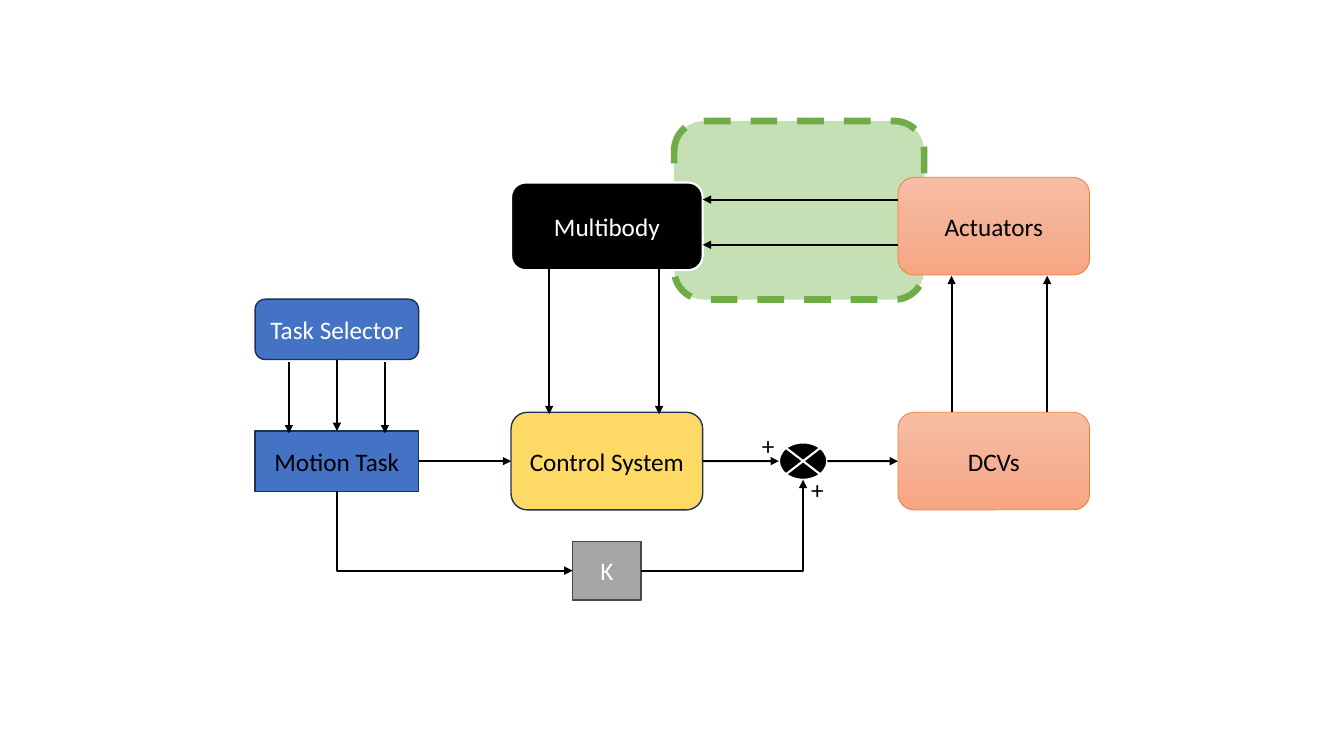
from copy import deepcopy

from lxml import etree
from pptx import Presentation
from pptx.dml.color import RGBColor
from pptx.enum.dml import MSO_LINE
from pptx.enum.shapes import MSO_CONNECTOR, MSO_SHAPE
from pptx.enum.text import MSO_ANCHOR, MSO_AUTO_SIZE, PP_ALIGN
from pptx.oxml.ns import qn
from pptx.util import Cm, Pt

RECTANGLE = MSO_SHAPE.RECTANGLE
ROUNDED = MSO_SHAPE.ROUNDED_RECTANGLE
PROCESS = MSO_SHAPE.FLOWCHART_ALTERNATE_PROCESS
JUNCTION = MSO_SHAPE.FLOWCHART_SUMMING_JUNCTION
STRAIGHT, ELBOW = MSO_CONNECTOR.STRAIGHT, MSO_CONNECTOR.ELBOW
DASH = MSO_LINE.DASH
CENTER, MIDDLE = PP_ALIGN.CENTER, MSO_ANCHOR.MIDDLE
FIT_SHAPE = MSO_AUTO_SIZE.SHAPE_TO_FIT_TEXT
TOP, LEFT, BOTTOM, RIGHT = range(4)

COLORS = {
    "black": "000000", "white": "FFFFFF",
    "blue": "4472C4", "navy": "1E3256",
    "yellow": "FFD966", "gray": "A5A5A5", "dark gray": "484848",
    "pale green": "C5E0B4", "green": "70AD47", "orange": "ED7D31",
    "peach light": "F7BDA5", "peach": "F5B196", "peach deep": "F8A582",
}
PEACH = ("peach light", "peach", "peach deep")


def color(name):
    return RGBColor.from_string(COLORS[name])


class Diagram:
    font, size, arrow_width = "Calibri", Pt(18), Pt(1.5)

    def __init__(self, slide):
        self.shapes = slide.shapes

    def add_text(self, box, text, ink, align=None):
        para = box.text_frame.paragraphs[0]
        para.alignment = align
        span = para.add_run()
        span.text = text
        span.font.name, span.font.size = self.font, self.size
        span.font.color.rgb = color(ink)

    def block(self, kind, place, fill, line, width=1, text=None, ink="black"):
        """Add a filled shape; a tuple of colours makes a vertical gradient."""
        box = self.shapes.add_shape(kind, *map(Cm, place))
        box.shadow.inherit = False
        if isinstance(fill, tuple):
            self.shade(box, fill)
        else:
            box.fill.solid()
            box.fill.fore_color.rgb = color(fill)
        box.line.color.rgb = color(line)
        box.line.width = Pt(width)
        if text:
            box.text_frame.vertical_anchor = MIDDLE
            self.add_text(box, text, ink, CENTER)
        return box

    def shade(self, box, names):
        box.fill.gradient()
        box.fill.gradient_angle = 270
        stop_list = box._element.spPr.find(".//" + qn("a:gsLst"))
        stop_list.insert(1, deepcopy(stop_list[0]))
        for index, (stop, name) in enumerate(zip(box.fill.gradient_stops, names)):
            stop.position = index / 2
            stop.color.rgb = color(name)

    def label(self, place, text):
        box = self.shapes.add_textbox(*map(Cm, place))
        box.text_frame.word_wrap = True
        box.text_frame.auto_size = FIT_SHAPE
        self.add_text(box, text, "black")

    def arrow(self, begin, end, kind=STRAIGHT):
        """Draw an arrow between points in cm or (box, side) pairs."""
        points = [self.locate(spot) for spot in (begin, end)]
        link = self.shapes.add_connector(kind, *points[0], *points[1])
        link.line.color.rgb = color("black")
        link.line.width = self.arrow_width
        properties = link._element.spPr
        etree.SubElement(properties.find(qn("a:ln")), qn("a:tailEnd"), type="triangle")
        etree.SubElement(properties, qn("a:effectLst"))
        if kind == STRAIGHT:
            joins = (link.begin_connect, link.end_connect)
            for spot, join in zip((begin, end), joins):
                if not isinstance(spot[0], (int, float)):
                    join(*spot)
        return link

    def locate(self, spot):
        """Return the slide position of a point or of the middle of a side."""
        if isinstance(spot[0], (int, float)):
            return tuple(map(Cm, spot))
        box, side = spot
        across = {LEFT: 0, RIGHT: 2}.get(side, 1)
        down = {TOP: 0, BOTTOM: 2}.get(side, 1)
        return box.left + box.width * across // 2, box.top + box.height * down // 2

    def corner(self, begin, end, down_first=False):
        """Draw an arrow with one bend, optionally going down and then right."""
        link = self.arrow(begin, end, ELBOW)
        properties = link._element.spPr
        properties.find(qn("a:prstGeom")).set("prst", "bentConnector2")
        if down_first:
            shift = (link.width - link.height) // 2
            link.left, link.top = link.left + shift, link.top - shift
            link.width, link.height = link.height, link.width
            frame = properties.find(qn("a:xfrm"))
            frame.set("rot", "16200000")
            frame.set("flipH", "1")


def main():
    deck = Presentation()
    deck.slide_width, deck.slide_height = Cm(33.87), Cm(19.05)
    page = deck.slides.add_slide(deck.slide_layouts[6])
    diagram = Diagram(page)
    block, arrow = diagram.block, diagram.arrow

    zone = block(PROCESS, (16.99, 3.05, 6.3, 4.5), "pale green", "green", 4.75)
    zone.line.dash_style = DASH

    motion = block(RECTANGLE, (6.43, 10.86, 4.12, 1.52), "blue", "navy",
                   text="Motion Task")
    control = block(ROUNDED, (12.88, 10.39, 4.83, 2.46), "yellow", "navy",
                    text="Control System")
    valves = block(ROUNDED, (22.63, 10.39, 4.83, 2.46), PEACH, "orange", 0.5, "DCVs")
    gain = block(RECTANGLE, (14.43, 13.64, 1.73, 1.48), "gray", "dark gray",
                 text="K", ink="white")
    junction = block(JUNCTION, (19.63, 11.15, 1.22, 0.94), "black", "white", 1.5)
    block(ROUNDED, (12.88, 4.6, 4.83, 2.21), "black", "white", 1.5, "Multibody", "white")
    block(ROUNDED, (22.63, 4.47, 4.83, 2.46), PEACH, "orange", 0.5, "Actuators")
    selector = block(PROCESS, (6.43, 7.54, 4.12, 1.52), "blue", "navy",
                     text="Task Selector", ink="white")

    arrow((motion, RIGHT), (control, LEFT))
    arrow((control, RIGHT), (19.63, 11.62))
    arrow((20.85, 11.62), (valves, LEFT))
    arrow((selector, BOTTOM), (motion, TOP))
    for x in (7.28, 9.7):
        arrow((x, 9.12), (x, 10.92))
    for x in (13.84, 16.61):
        arrow((x, 6.76), (x, 10.44))
    for x in (23.98, 26.39):
        arrow((x, 10.39), (x, 6.95))
    for y in (5.03, 6.17):
        arrow((22.63, y), (17.71, y))

    diagram.corner((motion, BOTTOM), (gain, LEFT), down_first=True)
    diagram.corner((gain, RIGHT), (junction, BOTTOM))

    for x, y in ((20.19, 11.84), (18.95, 10.72)):
        diagram.label((x, y, 1.6, 1.03), "+")

    deck.save("out.pptx")


if __name__ == "__main__":
    main()
